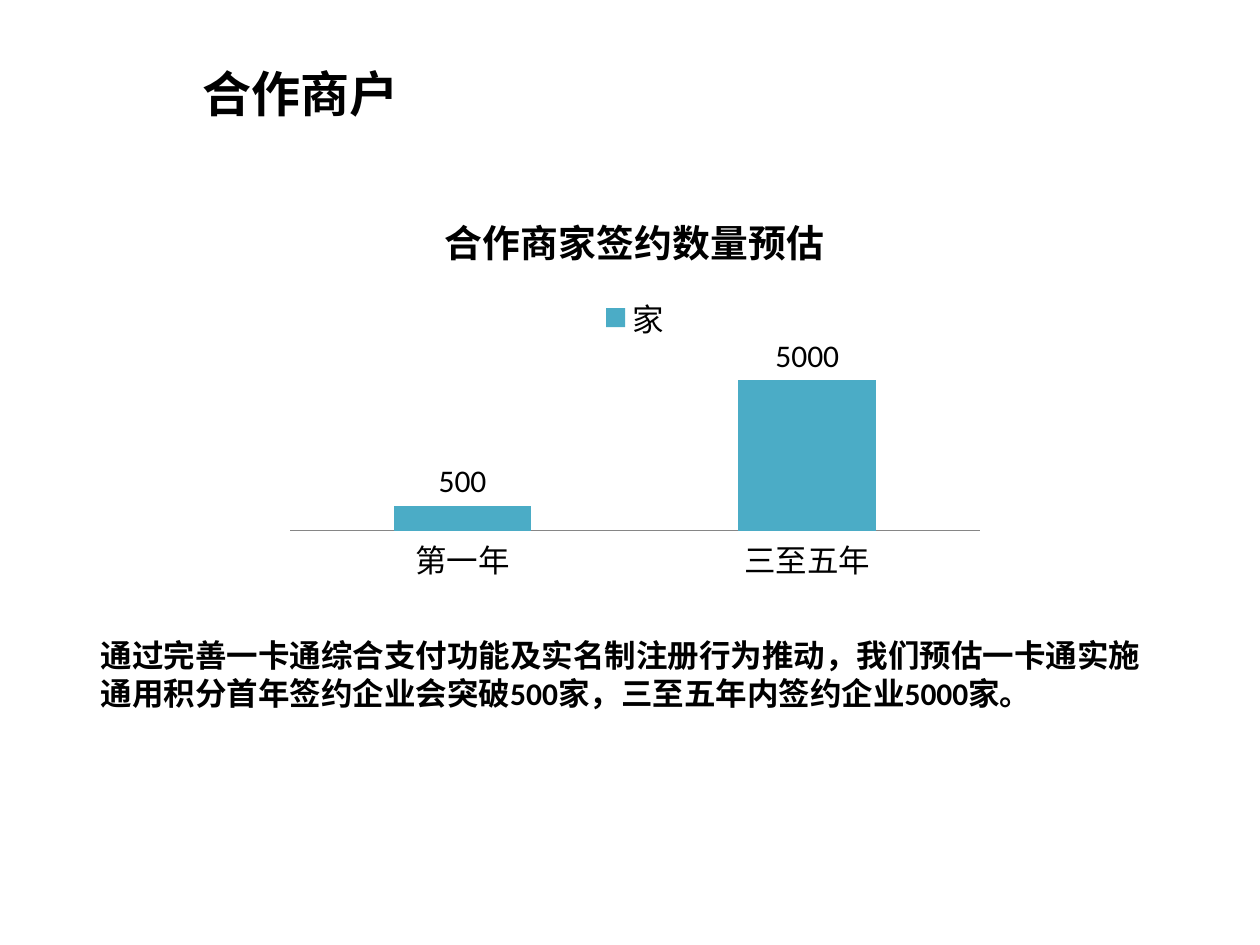
import pptx
import pptx.chart.data
import pptx.dml.color
import pptx.enum.chart
import pptx.enum.text
import pptx.util
from pptx.util import Cm, Pt

FONT = "Calibri"
BLACK, TEAL, GREY = "000000", "4BACC6", "868686"
TITLE = "合作商户"
CHART_TITLE = "合作商家签约数量预估"
SERIES = "家"
# category, bar height, label shown above the bar
BARS = [("第一年", 500, None), ("三至五年", 3000, "5000")]
SUMMARY = ("通过完善一卡通综合支付功能及实名制注册行为推动，我们预估一卡通实施"
           "通用积分首年签约企业会突破500家，三至五年内签约企业5000家。")


def color(hex_code):
    return pptx.dml.color.RGBColor.from_string(hex_code)


def style(font, size, bold=False):
    font.name, font.size, font.bold = FONT, Pt(size), bold
    font.color.rgb = color(BLACK)


def add_title(slide):
    title = slide.shapes.title
    title.left, title.top, title.width, title.height = Cm(3.38), Cm(0.79), Cm(16.66), Cm(2.16)
    frame = title.text_frame
    frame.text = TITLE
    frame.margin_left = Cm(0.7)
    frame.vertical_anchor = pptx.enum.text.MSO_ANCHOR.MIDDLE
    paragraph = frame.paragraphs[0]
    paragraph.alignment = pptx.enum.text.PP_ALIGN.LEFT
    style(paragraph.font, 28, True)


def add_merchant_chart(slide):
    data = pptx.chart.data.CategoryChartData()
    data.categories = [category for category, _, _ in BARS]
    data.add_series(SERIES, [value for _, value, _ in BARS])
    chart = slide.shapes.add_chart(
        pptx.enum.chart.XL_CHART_TYPE.COLUMN_CLUSTERED,
        Cm(5.56), Cm(3.76), Cm(14.48), Cm(8.13), data).chart
    style(chart.font, 18)

    chart.has_title = True
    chart.chart_title.include_in_layout = False
    chart.chart_title.text_frame.text = CHART_TITLE
    style(chart.chart_title.text_frame.paragraphs[0].font, 21.6, True)
    chart.has_legend = True
    chart.legend.position = pptx.enum.chart.XL_LEGEND_POSITION.TOP
    chart.legend.include_in_layout = False

    value_axis = chart.value_axis
    value_axis.minimum_scale, value_axis.maximum_scale = 0, 3500
    value_axis.has_major_gridlines = False
    value_axis.visible = False
    category_axis = chart.category_axis
    category_axis.major_tick_mark = pptx.enum.chart.XL_TICK_MARK.NONE
    category_axis.format.line.color.rgb = color(GREY)

    plot = chart.plots[0]
    plot.gap_width = 150
    plot.vary_by_categories = False
    series = plot.series[0]
    series.format.fill.solid()
    series.format.fill.fore_color.rgb = color(TEAL)
    outside = pptx.enum.chart.XL_LABEL_POSITION.OUTSIDE_END
    series.data_labels.show_value = True
    series.data_labels.position = outside
    for index, (_, _, label_text) in enumerate(BARS):
        if label_text:
            label = series.points[index].data_label
            label.text_frame.text = label_text
            style(label.text_frame.paragraphs[0].runs[0].font, 18)
            label.position = outside


def add_summary(slide):
    frame = slide.shapes.add_textbox(Cm(1.78), Cm(12.7), Cm(21.64), Cm(1.8)).text_frame
    frame.word_wrap = True
    frame.auto_size = pptx.enum.text.MSO_AUTO_SIZE.SHAPE_TO_FIT_TEXT
    frame.text = SUMMARY
    style(frame.paragraphs[0].font, 18, True)


def main():
    presentation = pptx.Presentation()
    presentation.slide_width, presentation.slide_height = Cm(25.4), Cm(19.05)
    slide = presentation.slides.add_slide(presentation.slide_layouts.get_by_name("Title Only"))
    add_title(slide)
    add_merchant_chart(slide)
    add_summary(slide)
    presentation.save("out.pptx")


if __name__ == "__main__":
    main()
